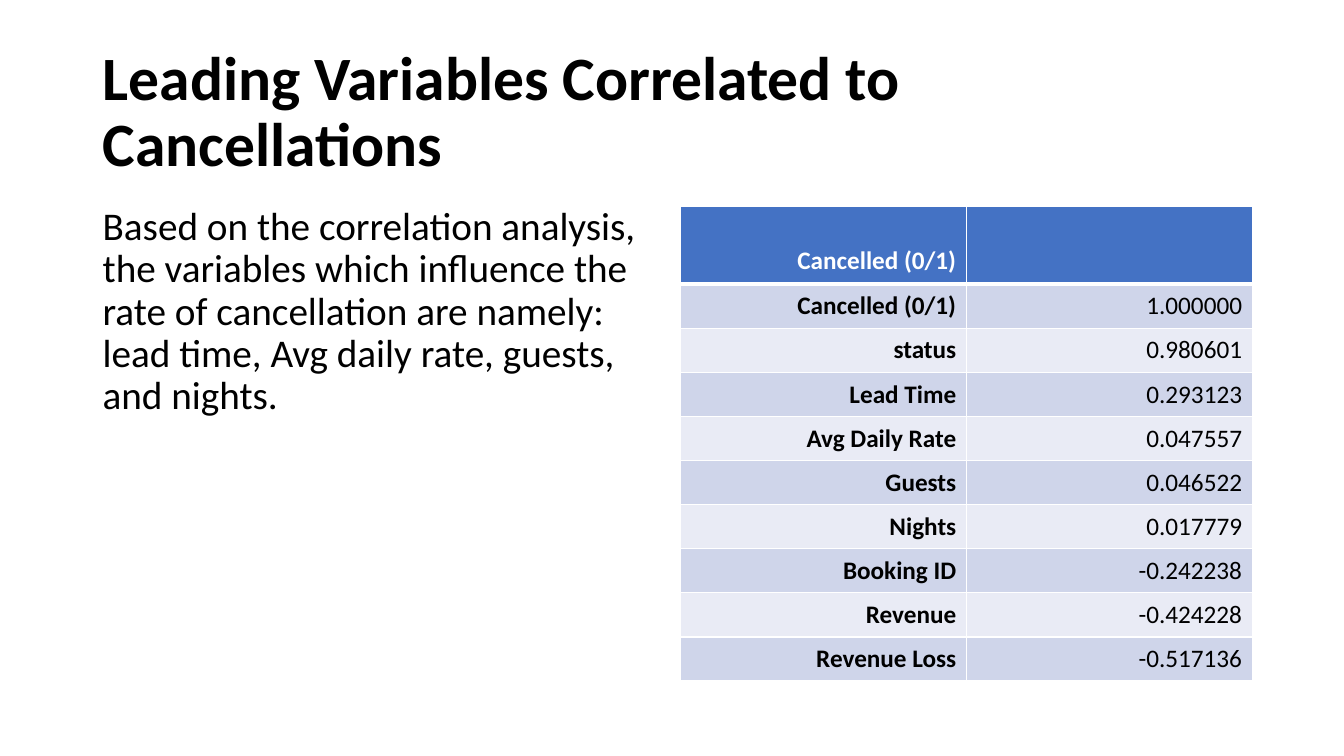
from lxml.etree import SubElement
from pptx import Presentation
from pptx.dml.color import RGBColor
from pptx.enum.text import MSO_ANCHOR as Anchor, PP_ALIGN as Align
from pptx.oxml.ns import qn
from pptx.util import Inches, Pt


def rgb(value):
    return RGBColor.from_string(value)


class Deck:
    font = "Calibri"
    black, white, header = "000000", "FFFFFF", "4472C4"
    bands = ("CFD5EA", "E9EBF5")

    def __init__(self):
        self.prs = Presentation()
        self.prs.slide_width, self.prs.slide_height = Inches(13.33), Inches(7.5)
        self.s = self.prs.slides.add_slide(self.prs.slide_layouts[6])

    def fill_paragraph(self, p, text, size, bold=False, color=black):
        p.text = text
        for r in p.runs:
            r.font.name, r.font.size, r.font.bold = self.font, Pt(size), bold
            r.font.color.rgb = rgb(color)

    def text(self, box, text, size, bold=False, anchor=Anchor.TOP, before=0):
        tf = self.s.shapes.add_textbox(*map(Inches, box)).text_frame
        tf.word_wrap, tf.vertical_anchor = True, anchor
        p = tf.paragraphs[0]
        self.fill_paragraph(p, text, size, bold)
        p.line_spacing, p.space_before = 0.9, Pt(before)

    def borders(self, cell, bottom):
        tcPr = cell._tc.get_or_add_tcPr()
        sides = {"lnL": 1, "lnR": 1, "lnT": 1, "lnB": bottom}
        for i, (side, width) in enumerate(sides.items()):
            ln = SubElement(tcPr, qn(f"a:{side}"), w=str(Pt(width)))
            SubElement(SubElement(ln, qn("a:solidFill")), qn("a:srgbClr"), val=self.white)
            tcPr.insert(i, ln)

    def table(self, box, rows, header_height):
        tbl = self.s.shapes.add_table(len(rows), len(rows[0]), *map(Inches, box)).table
        row_height = (box[3] - header_height) / (len(rows) - 1)
        for i, row in enumerate(rows):
            head = i == 0
            tbl.rows[i].height = Inches(header_height if head else row_height)
            for j, text in enumerate(row):
                cell = tbl.cell(i, j)
                cell.fill.solid()
                cell.fill.fore_color.rgb = rgb(self.header if head else self.bands[(i - 1) % 2])
                cell.vertical_anchor = Anchor.BOTTOM if head else Anchor.MIDDLE
                if head:
                    cell.margin_bottom = Inches(0.08)
                p = cell.text_frame.paragraphs[0]
                p.alignment = Align.RIGHT
                self.fill_paragraph(p, text, 18, head or j == 0,
                                    self.white if head else self.black)
                self.borders(cell, 3 if head else 1)


def main():
    deck = Deck()
    deck.text((0.92, 0.4, 11.5, 1.45), "Leading Variables Correlated to Cancellations",
              44, bold=True, anchor=Anchor.MIDDLE)
    deck.text((0.92, 2, 5.67, 4.76),
              "Based on the correlation analysis, the variables which influence the rate of "
              "cancellation are namely: lead time, Avg daily rate, guests, and nights.",
              28, before=10)
    correlations = [
        ("Cancelled (0/1)", ""),
        ("Cancelled (0/1)", "1.000000"),
        ("status", "0.980601"),
        ("Lead Time", "0.293123"),
        ("Avg Daily Rate", "0.047557"),
        ("Guests", "0.046522"),
        ("Nights", "0.017779"),
        ("Booking ID", "-0.242238"),
        ("Revenue", "-0.424228"),
        ("Revenue Loss", "-0.517136"),
    ]
    deck.table((6.75, 2.05, 5.67, 4.71), correlations, 0.77)
    deck.prs.save("out.pptx")


if __name__ == "__main__":
    main()
